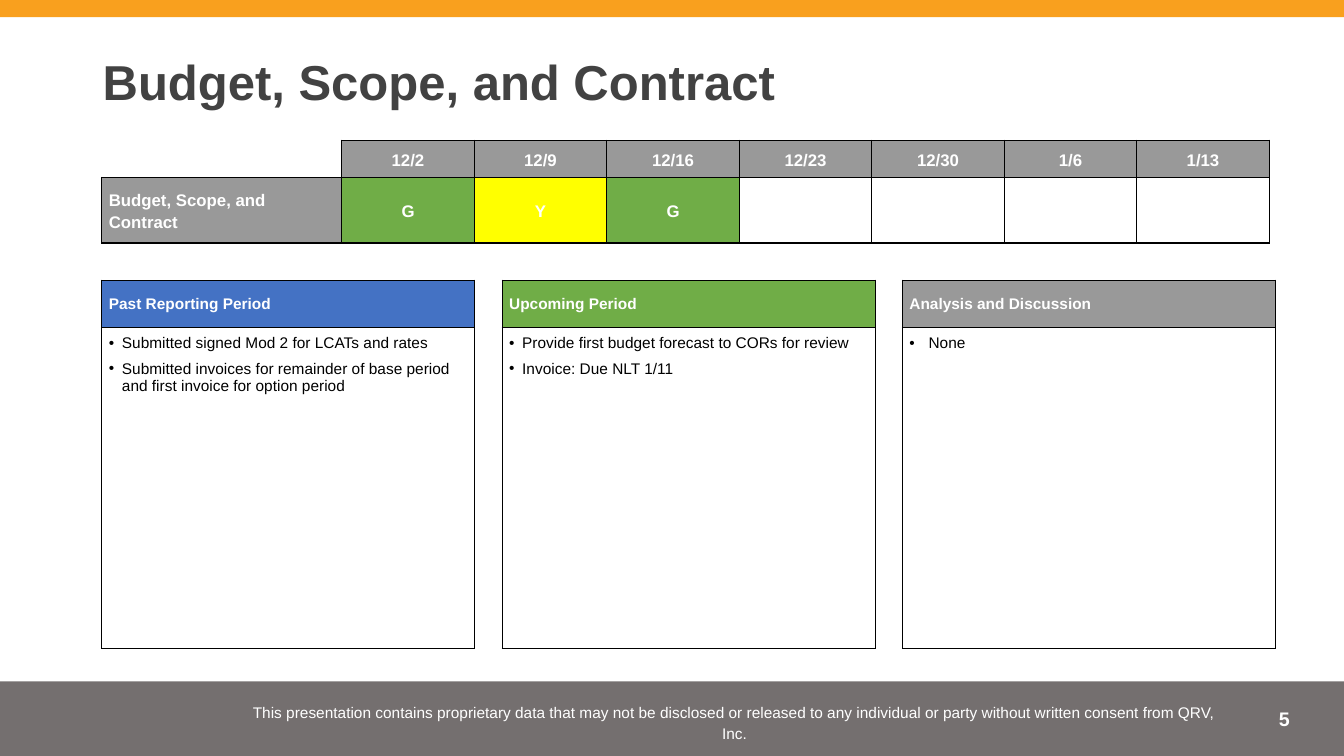
"""Build the budget, scope and contract status slide."""
import dataclasses

import pptx
import pptx.dml.color
import pptx.enum.shapes
import pptx.enum.text
import pptx.oxml.ns
import pptx.util
from lxml import etree

Inches = pptx.util.Inches
Pt = pptx.util.Pt
qn = pptx.oxml.ns.qn
Align = pptx.enum.text.PP_ALIGN
Anchor = pptx.enum.text.MSO_ANCHOR


@dataclasses.dataclass(frozen=True)
class Theme:
    font: str = "Arial"
    orange: str = "F9A01E"
    footer: str = "4F4949"
    title: str = "424242"
    white: str = "FFFFFF"
    black: str = "000000"
    gray: str = "999999"
    green: str = "70AD47"
    yellow: str = "FFFF00"
    blue: str = "4472C4"
    title_size: int = 35
    number_size: int = 14
    status_size: int = 12
    body_size: int = 11


THEME = Theme()
DATES = ["12/2", "12/9", "12/16", "12/23", "12/30", "1/6", "1/13"]
STATUSES = ["G", "Y", "G", "", "", "", ""]
STATUS_FILLS = {"G": THEME.green, "Y": THEME.yellow, "": None}
PANELS = [
    ("Past Reporting Period", THEME.blue, 0.13, [
        "Submitted signed Mod 2 for LCATs and rates",
        "Submitted invoices for remainder of base period and first invoice for option period",
    ]),
    ("Upcoming Period", THEME.green, 0.13, [
        "Provide first budget forecast to CORs for review",
        "Invoice: Due NLT 1/11",
    ]),
    ("Analysis and Discussion", THEME.gray, 0.19, ["None"]),
]
FOOTER = ("This presentation contains proprietary data that may not be disclosed or released "
          "to any individual or party without written consent from QRV, Inc.")


def apply(target, values):
    for name, value in values.items():
        setattr(target, name, value)


def write(paragraph, text, size, color, bold=False, **formats):
    apply(paragraph, formats)
    if not text:
        etree.SubElement(paragraph._p, qn("a:endParaRPr"), sz=str(size * 100))
        return
    run = paragraph.add_run()
    run.text = text
    apply(run.font, {"name": THEME.font, "size": Pt(size), "bold": bold})
    run.font.color.rgb = pptx.dml.color.RGBColor.from_string(color)


def add_band(slide, top, height, color, opacity=100):
    shape = slide.shapes.add_shape(pptx.enum.shapes.MSO_SHAPE.RECTANGLE,
                                   0, Inches(top), Inches(13.33), Inches(height))
    shape.shadow.inherit = False
    shape.line.fill.background()
    shape.fill.solid()
    shape.fill.fore_color.rgb = pptx.dml.color.RGBColor.from_string(color)
    if opacity < 100:
        fill_color = shape.fill._xPr.find(qn("a:solidFill"))[0]
        etree.SubElement(fill_color, qn("a:alpha"), val=str(opacity * 1000))


def add_text(slide, box, text, size, color, anchor=Anchor.MIDDLE, inset=0.1, **formats):
    frame = slide.shapes.add_textbox(*map(Inches, box)).text_frame
    apply(frame, {"word_wrap": True, "vertical_anchor": anchor,
                  "margin_left": Inches(0.1), "margin_right": Inches(0.1),
                  "margin_top": Inches(inset), "margin_bottom": Inches(inset)})
    write(frame.paragraphs[0], text, size, color, **formats)


def add_table(slide, left, top, widths, heights):
    frame = slide.shapes.add_table(len(heights), len(widths), Inches(left), Inches(top),
                                   Inches(sum(widths)), Inches(sum(heights)))
    table = frame.table
    apply(table, {"first_row": False, "horz_banding": False})
    for column, width in zip(table.columns, widths):
        column.width = Inches(width)
    for row, height in zip(table.rows, heights):
        row.height = Inches(height)
    return table


def format_cell(cell, fill=None, anchor=Anchor.MIDDLE, sides="LRTB"):
    margins = ("margin_left", "margin_right", "margin_top", "margin_bottom")
    apply(cell, dict.fromkeys(margins, Inches(0.07)))
    cell.vertical_anchor = anchor
    properties = cell._tc.get_or_add_tcPr()
    for side in "LRTB":
        line = etree.SubElement(properties, qn(f"a:ln{side}"), w=str(Pt(1)))
        if side in sides:
            solid = etree.SubElement(line, qn("a:solidFill"))
            etree.SubElement(solid, qn("a:srgbClr"), val=THEME.black)
        else:
            etree.SubElement(line, qn("a:noFill"))
    if fill:
        cell.fill.solid()
        cell.fill.fore_color.rgb = pptx.dml.color.RGBColor.from_string(fill)
    else:
        cell.fill.background()


def add_bullet(paragraph, indent):
    properties = paragraph._p.get_or_add_pPr()
    properties.set("marL", str(Inches(indent)))
    properties.set("indent", str(-Inches(indent)))
    color = etree.SubElement(properties, qn("a:buClr"))
    etree.SubElement(color, qn("a:srgbClr"), val=THEME.black)
    etree.SubElement(properties, qn("a:buFont"), typeface=THEME.font)
    etree.SubElement(properties, qn("a:buChar"), char="•")


def add_status_table(slide):
    label_width, total_width = 2.38, 11.58
    date_width = (total_width - label_width) / len(DATES)
    table = add_table(slide, 1.01, 1.39, [label_width] + [date_width] * len(DATES), [0.36, 0.65])
    rows = [
        [("", None)] + [(date, THEME.gray) for date in DATES],
        [("Budget, Scope, and Contract", THEME.gray)]
        + [(status, STATUS_FILLS[status]) for status in STATUSES],
    ]
    for row_index, row in enumerate(rows):
        for column_index, (text, fill) in enumerate(row):
            cell = table.cell(row_index, column_index)
            is_corner = row_index == column_index == 0
            format_cell(cell, fill, sides="RB" if is_corner else "LRTB")
            write(cell.text_frame.paragraphs[0], text, THEME.status_size, THEME.white, bold=True,
                  alignment=Align.CENTER if column_index else Align.LEFT, line_spacing=1.15)


def add_panel(slide, left, heading, color, indent, items):
    table = add_table(slide, left, 2.78, [3.7], [0.47, 3.18])
    header, body = table.cell(0, 0), table.cell(1, 0)
    format_cell(header, color)
    write(header.text_frame.paragraphs[0], heading, THEME.body_size, THEME.white, bold=True)
    format_cell(body, anchor=Anchor.TOP)
    frame = body.text_frame
    for index, item in enumerate(items):
        paragraph = frame.add_paragraph() if index else frame.paragraphs[0]
        write(paragraph, item, THEME.body_size, THEME.black, space_after=Pt(6))
        add_bullet(paragraph, indent)


def main():
    presentation = pptx.Presentation()
    apply(presentation, {"slide_width": Inches(13.33), "slide_height": Inches(7.5)})
    slide = presentation.slides.add_slide(presentation.slide_layouts[6])
    add_band(slide, 6.76, 0.74, THEME.footer, opacity=79)
    add_band(slide, 0, 0.17, THEME.orange)
    add_text(slide, (11.81, 6.96, 1.08, 0.4), "5", THEME.number_size, THEME.white,
             anchor=Anchor.TOP, inset=0.05, bold=True, alignment=Align.RIGHT)
    add_text(slide, (2.27, 6.89, 10.03, 0.53), FOOTER, THEME.body_size, THEME.white,
             alignment=Align.CENTER, line_spacing=1.15)
    add_text(slide, (0.92, 0.46, 11.5, 0.77), "Budget, Scope, and Contract",
             THEME.title_size, THEME.title, bold=True, line_spacing=0.9)
    add_status_table(slide)
    for index, panel in enumerate(PANELS):
        add_panel(slide, 1.01 + 3.97 * index, *panel)
    presentation.save("out.pptx")


if __name__ == "__main__":
    main()
